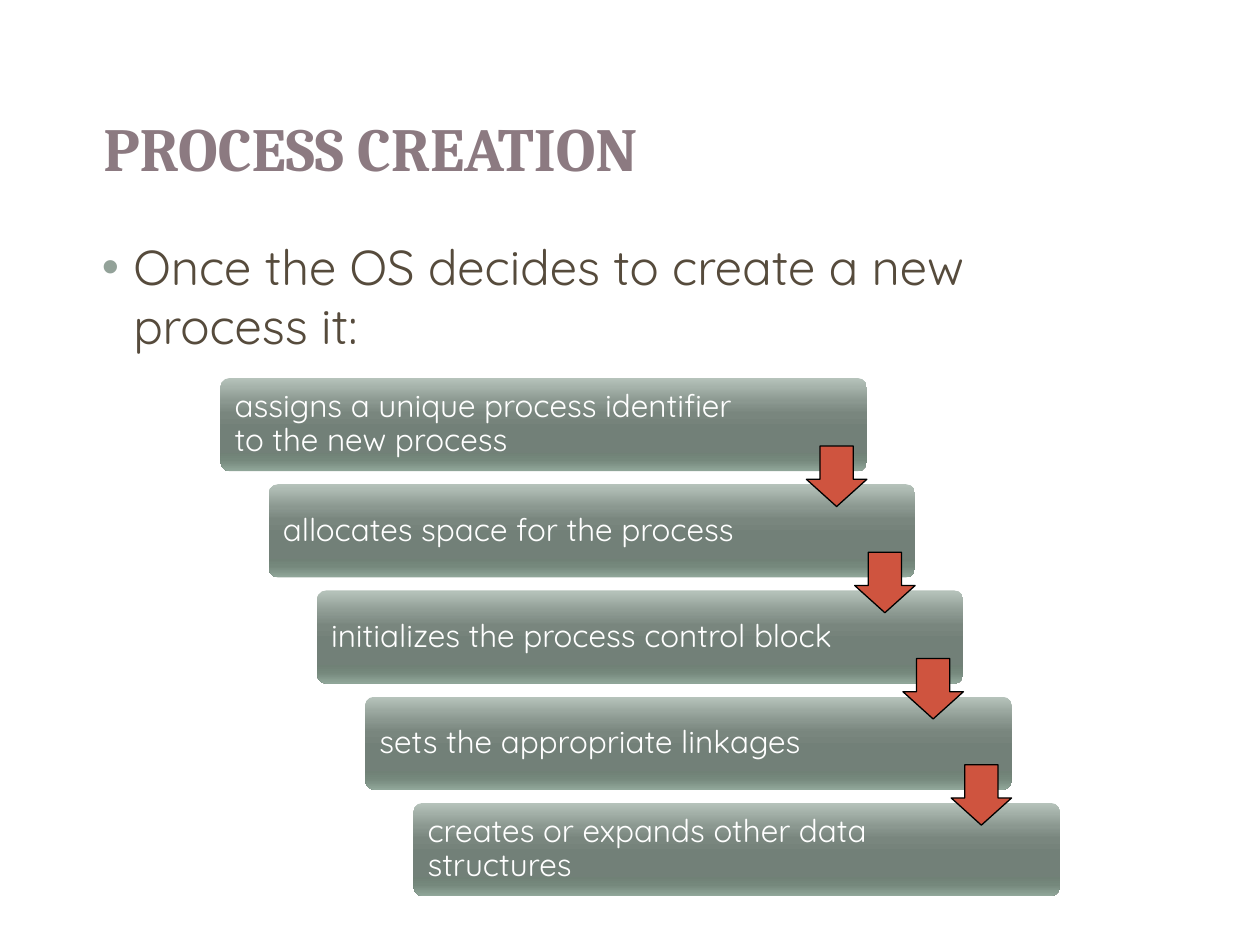
from lxml.etree import SubElement
from pptx import Presentation
from pptx.dml.color import RGBColor
from pptx.enum.shapes import MSO_SHAPE
from pptx.enum.text import MSO_ANCHOR, PP_ALIGN
from pptx.oxml.ns import qn
from pptx.util import Inches, Pt

COLORS = {
    "title": "8C7A81",
    "body": "564B3C",
    "bullet": "93A299",
    "step_text": "FFFFFF",
    "arrow": "CF543F",
    "arrow_line": "000000",
}
STEP_GRADIENT = [
    (0, "B6C3BB"), (25, "8B9890"), (38, "79867E"), (55, "728078"),
    (80, "708176"), (88, "75887C"), (100, "91A79A"),
]
STEPS = [
    "assigns a unique process identifier to the new process",
    "allocates space for the process",
    "initializes the process control block",
    "sets the appropriate linkages",
    "creates or expands other data structures",
]
STEP_LEFT, STEP_TOP = 1.75, 3.0
STEP_WIDTH, STEP_HEIGHT = 5.13, 0.74
SHIFT_X, SHIFT_Y = 0.383, 0.843
ARROW_SIZE = 0.48


def rgb(name):
    return RGBColor.from_string(COLORS[name])


def add_run(p, text, font, size, color, bold=False):
    r = p.add_run()
    r.text = text
    r.font.name = font
    r.font.size = Pt(size)
    r.font.bold = bold
    r.font.color.rgb = rgb(color)


def set_bullet(p, char, color, margin, indent):
    pPr = p._p.get_or_add_pPr()
    pPr.set("marL", str(Inches(margin)))
    pPr.set("indent", str(Inches(indent)))
    clr = SubElement(pPr, qn("a:buClr"))
    SubElement(clr, qn("a:srgbClr"), val=COLORS[color])
    SubElement(pPr, qn("a:buFont"), typeface="Arial")
    SubElement(pPr, qn("a:buChar"), char=char)


def set_gradient(sp, stops):
    """Fill from top to bottom with (percent, hex) stops."""
    sp.fill.gradient()
    sp.fill.gradient_angle = 270
    gs_list = sp._element.spPr.find(qn("a:gradFill")).find(qn("a:gsLst"))
    for gs in list(gs_list):
        gs_list.remove(gs)
    for percent, color in stops:
        gs = SubElement(gs_list, qn("a:gs"), pos=str(percent * 1000))
        SubElement(gs, qn("a:srgbClr"), val=color)


def add_title(slide, text):
    title = slide.shapes.title
    title.left, title.top = Inches(0.72), Inches(0.5)
    title.width, title.height = Inches(8.56), Inches(1.33)
    tf = title.text_frame
    tf.vertical_anchor = MSO_ANCHOR.MIDDLE
    p = tf.paragraphs[0]
    p.alignment = PP_ALIGN.LEFT
    add_run(p, text, "Cambria", 35, "title", bold=True)


def add_intro(slide, text):
    box = slide.shapes.add_textbox(
        Inches(0.58), Inches(1.83), Inches(8.58), Inches(1.1))
    tf = box.text_frame
    tf.word_wrap = True
    p = tf.paragraphs[0]
    set_bullet(p, "•", "bullet", 0.38, -0.25)
    add_run(p, text, "Quicksand", 28, "body")


def add_step(slide, left, top, text):
    sp = slide.shapes.add_shape(
        MSO_SHAPE.ROUNDED_RECTANGLE, Inches(left), Inches(top),
        Inches(STEP_WIDTH), Inches(STEP_HEIGHT))
    sp.adjustments[0] = 0.1
    sp.shadow.inherit = False
    sp.line.fill.background()
    set_gradient(sp, STEP_GRADIENT)
    tf = sp.text_frame
    tf.word_wrap = True
    tf.vertical_anchor = MSO_ANCHOR.MIDDLE
    tf.margin_left = Inches(0.09)
    tf.margin_right = Inches(0.93)  # keeps the text clear of the arrow
    tf.margin_top = tf.margin_bottom = Inches(0.05)
    p = tf.paragraphs[0]
    p.alignment = PP_ALIGN.LEFT
    p.line_spacing = 0.9
    add_run(p, text, "Quicksand", 18, "step_text")


def add_arrow(slide, left, top):
    sp = slide.shapes.add_shape(
        MSO_SHAPE.DOWN_ARROW, Inches(left), Inches(top),
        Inches(ARROW_SIZE), Inches(ARROW_SIZE))
    sp.adjustments[0] = 0.55
    sp.adjustments[1] = 0.45
    sp.shadow.inherit = False
    sp.fill.solid()
    sp.fill.fore_color.rgb = rgb("arrow")
    sp.line.color.rgb = rgb("arrow_line")
    sp.line.width = Pt(0.75)


def main():
    prs = Presentation()
    prs.slide_width, prs.slide_height = Inches(10), Inches(7.5)
    slide = prs.slides.add_slide(prs.slide_layouts[5])

    add_title(slide, "PROCESS CREATION")
    add_intro(slide, "Once the OS decides to create a new process it:")

    corners = [(STEP_LEFT + i * SHIFT_X, STEP_TOP + i * SHIFT_Y)
               for i in range(len(STEPS))]
    for (left, top), text in zip(corners, STEPS):
        add_step(slide, left, top, text)
    for left, top in corners[:-1]:
        add_arrow(slide, left + STEP_WIDTH - ARROW_SIZE, top + 0.54)

    prs.save("out.pptx")


if __name__ == "__main__":
    main()
